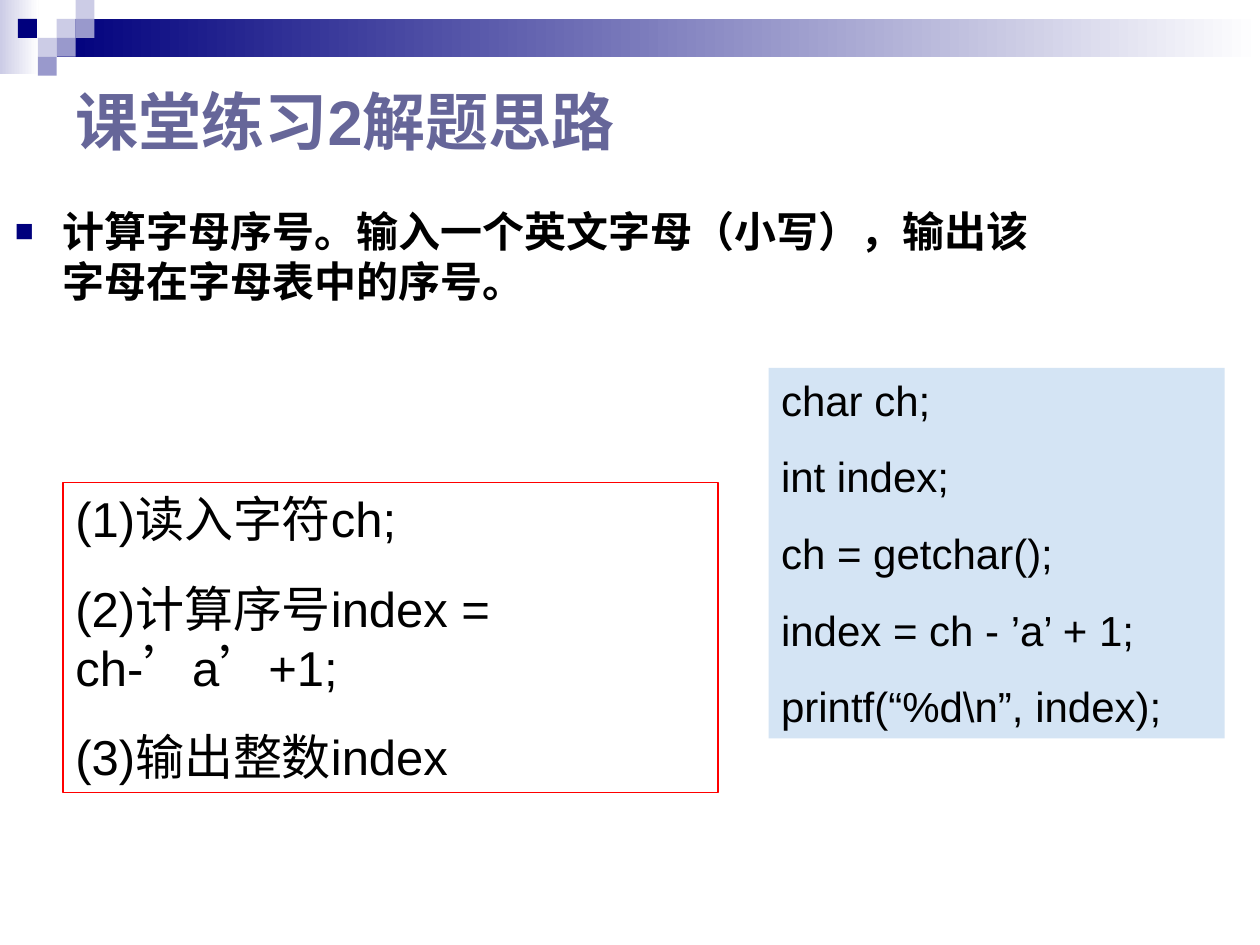
import pptx
import pptx.dml.color
import pptx.enum.shapes
import pptx.enum.text
import pptx.util
from lxml import etree

Inches = pptx.util.Inches
UNIT = 0.15  # side of one square in the header mosaic


def color(value):
    return pptx.dml.color.RGBColor.from_string(value)


def write(box, text, size=24, ink="000000", bold=False, gap=0, spacing=None,
          anchor="TOP", bullet=None):
    frame = box.text_frame
    frame.word_wrap = True
    frame.auto_size = pptx.enum.text.MSO_AUTO_SIZE.NONE
    frame.vertical_anchor = getattr(pptx.enum.text.MSO_ANCHOR, anchor)
    for number, line in enumerate(text.split("\n")):
        para = frame.add_paragraph() if number else frame.paragraphs[0]
        if bullet:
            properties = para._p.get_or_add_pPr()
            properties.set("marL", str(Inches(0.38)))
            properties.set("indent", str(Inches(-0.38)))
            ns = "{http://schemas.openxmlformats.org/drawingml/2006/main}"
            tint = etree.SubElement(properties, ns + "buClr")
            etree.SubElement(tint, ns + "srgbClr", val=bullet)
            etree.SubElement(properties, ns + "buSzPct", val="75000")
            etree.SubElement(properties, ns + "buFont", typeface="Arial")
            etree.SubElement(properties, ns + "buChar", char="■")
        para.alignment = pptx.enum.text.PP_ALIGN.LEFT
        para.space_before = pptx.util.Pt(gap if number else 0)
        if spacing:
            para.line_spacing = spacing
        span = para.add_run()
        span.text = line
        span.font.name = "Arial"
        span.font.size = pptx.util.Pt(size)
        span.font.bold = bold
        span.font.color.rgb = color(ink)


deck = pptx.Presentation()
deck.slide_width, deck.slide_height = Inches(10), Inches(7.5)
slide = deck.slides.add_slide(deck.slide_layouts[5])
RECTANGLE = pptx.enum.shapes.MSO_SHAPE.RECTANGLE

# Header mosaic: column, row, columns wide, rows high, fill (two = gradient)
mosaic = [
    (0, 0, 2.05, 3.9, ["CCCCE6", "FFFFFF"]),
    (3, 1, 10 / UNIT - 3, 2, ["00007D", "FFFFFF"]),
    (3, 1, 1, 1, ["CCCCE6"]),
    (4, 0, 1, 1, ["CCCCE6"]),
    (4, 1, 1, 1, ["9999CC"]),
    (2, 2, 1, 1, ["CCCCE6"]),
    (0.95, 1, 1, 1, ["00007D"]),
    (3, 2, 1, 1, ["9999CC"]),
    (2, 3, 1, 1, ["9999CC"]),
]
for *cells, colors in mosaic:
    tile = slide.shapes.add_shape(
        RECTANGLE, *[Inches(cell * UNIT) for cell in cells])
    tile.shadow.inherit = False
    tile.line.fill.background()
    if len(colors) == 2:
        tile.fill.gradient()
        tile.fill.gradient_angle = 0
        for position, (stop, value) in enumerate(
                zip(tile.fill.gradient_stops, colors)):
            stop.position = position
            stop.color.rgb = color(value)
    else:
        tile.fill.solid()
        tile.fill.fore_color.rgb = color(colors[0])

# Title
title = slide.shapes.title
title.left, title.top = Inches(0.5), Inches(0.68)
title.width, title.height = Inches(8.58), Inches(0.67)
write(title, "课堂练习2解题思路", size=36, ink="666699", bold=True,
      spacing=0.8, anchor="MIDDLE")

# Task
task = slide.shapes.add_textbox(
    Inches(0.02), Inches(1.58), Inches(8.5), Inches(1.34))
write(task, "计算字母序号。输入一个英文字母（小写），输出该字母在字母表中的序号。",
      bold=True, bullet="00007D")

# Solution steps
steps = slide.shapes.add_shape(
    RECTANGLE, Inches(0.5), Inches(3.83), Inches(5.2), Inches(2.46))
steps.shadow.inherit = False
steps.fill.background()
steps.line.color.rgb = color("FF0000")
steps.line.width = pptx.util.Pt(0.75)
write(steps, "(1)读入字符ch;\n(2)计算序号index = ch-’a’+1;\n(3)输出整数index",
      size=28, gap=17.5)

# Code
code = slide.shapes.add_shape(
    RECTANGLE, Inches(6.1), Inches(2.92), Inches(3.62), Inches(2.94))
code.shadow.inherit = False
code.fill.solid()
code.fill.fore_color.rgb = color("D4E4F4")
code.line.fill.background()
write(code, "char ch;\nint index;\nch = getchar();\nindex = ch - ’a’ + 1;\n"
      "printf(“%d\\n”, index);", gap=15)

deck.save("out.pptx")
